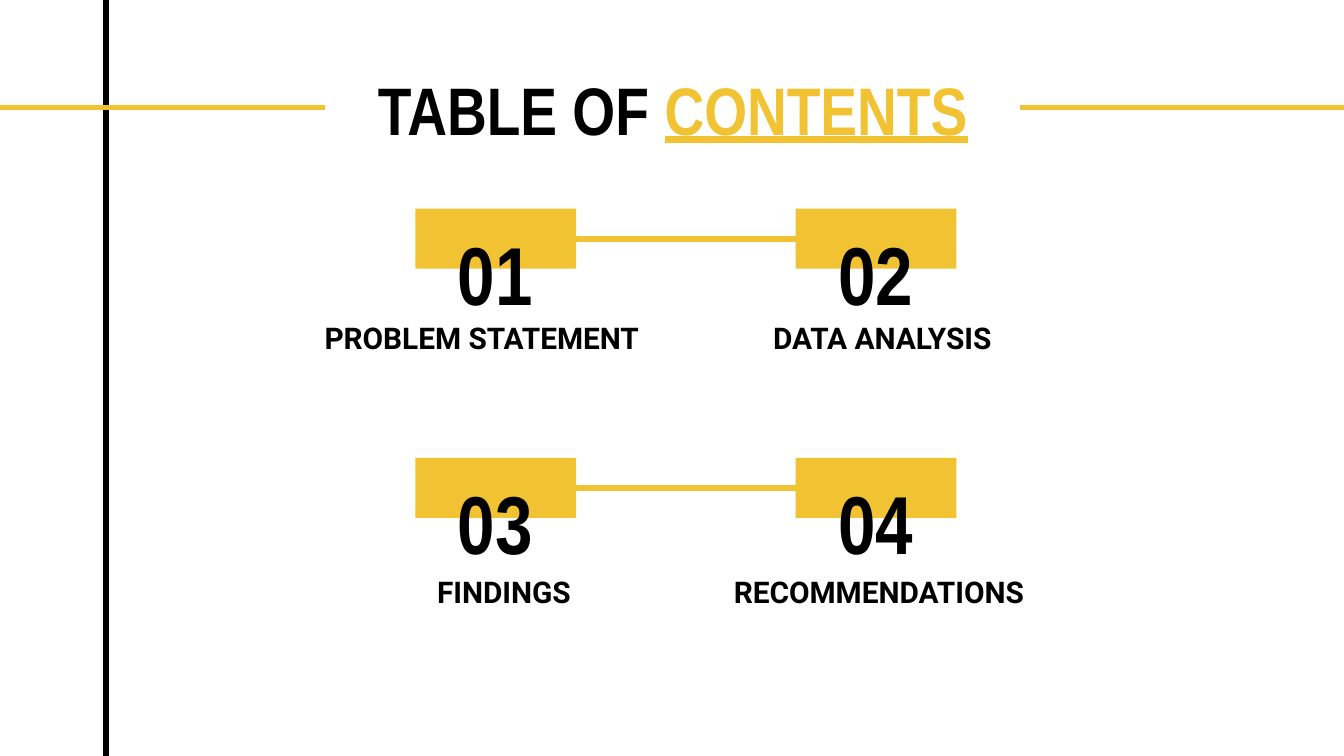
from dataclasses import dataclass

from lxml.etree import SubElement
from pptx import Presentation
from pptx.dml.color import RGBColor as RGB
from pptx.enum.shapes import MSO_CONNECTOR as Connector, MSO_SHAPE as Shape
from pptx.enum.text import MSO_ANCHOR as Anchor, PP_ALIGN as Align
from pptx.oxml.ns import qn
from pptx.util import Pt


@dataclass(frozen=True)
class Theme:
    black: RGB = RGB(0x00, 0x00, 0x00)
    white: RGB = RGB(0xFF, 0xFF, 0xFF)
    gold: RGB = RGB(0xF1, 0xC2, 0x32)
    display: str = "Arial Narrow"
    body: str = "Roboto"
    title_size: int = 36
    number_size: int = 44
    label_size: int = 16
    line_width: int = 3
    inset: float = 7.2


class SlideBuilder:
    def __init__(self, slide, theme):
        self.slide = slide
        self.theme = theme

    def line(self, start, end, color):
        connector = self.slide.shapes.add_connector(
            Connector.STRAIGHT, *map(Pt, (*start, *end)))
        connector.line.color.rgb = color
        connector.line.width = Pt(self.theme.line_width)
        SubElement(connector._element.spPr, qn("a:effectLst"))
        return connector

    def join(self, left_block, right_block):
        connector = self.line((0, 0), (0, 0), self.theme.gold)
        connector.begin_connect(left_block, 3)
        connector.end_connect(right_block, 1)

    def block(self, left, top, width, height, color):
        block = self.slide.shapes.add_shape(
            Shape.RECTANGLE, *map(Pt, (left, top, width, height)))
        block.shadow.inherit = False
        block.fill.solid()
        block.fill.fore_color.rgb = color
        block.line.fill.background()
        return block

    def format_frame(self, frame, font_name, size, anchor):
        frame.word_wrap = True
        frame.vertical_anchor = anchor
        frame.margin_left = frame.margin_right = Pt(self.theme.inset)
        frame.margin_top = frame.margin_bottom = Pt(self.theme.inset)
        paragraph = frame.paragraphs[0]
        paragraph.alignment = Align.CENTER
        paragraph.line_spacing = 1.0
        paragraph.space_before = Pt(0)
        font = paragraph.font
        font.name, font.size, font.bold = font_name, Pt(size), True
        font.color.rgb = self.theme.black
        return paragraph

    def text(self, words, left, top, width, height, font_name, size, anchor=Anchor.TOP):
        box = self.slide.shapes.add_textbox(*map(Pt, (left, top, width, height)))
        self.format_frame(box.text_frame, font_name, size, anchor).add_run().text = words

    def title(self, opening, highlight, left, top, width, height):
        title = self.slide.shapes.title
        title.left, title.top, title.width, title.height = map(
            Pt, (left, top, width, height))
        self.slide.shapes._spTree.append(title._element)
        paragraph = self.format_frame(
            title.text_frame, self.theme.display, self.theme.title_size, Anchor.TOP)
        paragraph.add_run().text = opening
        accent = paragraph.add_run()
        accent.text = highlight
        accent.font.color.rgb = self.theme.gold
        accent.font.underline = True


def main():
    theme = Theme()
    deck = Presentation()
    deck.slide_width, deck.slide_height = Pt(720), Pt(405)
    builder = SlideBuilder(deck.slides.add_slide(deck.slide_layouts[5]), theme)

    builder.line((56.9, -1.5), (56.9, 406.5), theme.black)
    builder.line((736.5, 57.6), (-3.5, 57.6), theme.gold)
    builder.block(174.2, 6.5, 372.2, 81.4, theme.white)
    builder.title("TABLE OF ", "CONTENTS", 194.4, 29.5, 332, 53.3)

    column_lefts = (222.5, 426.2)
    rows = (
        (111.8, 164.2, 205.2, (("01", "PROBLEM STATEMENT", 155.5),
                               ("02", "DATA ANALYSIS", 370.1))),
        (245.3, 300.2, 200.2, (("03", "FINDINGS", 169.9),
                               ("04", "RECOMMENDATIONS", 370.8))),
    )
    for block_top, label_top, label_width, sections in rows:
        blocks = [builder.block(left, block_top, 86.2, 32.2, theme.gold)
                  for left in column_lefts]
        builder.join(*blocks)
        for left, (number, label, label_left) in zip(column_lefts, sections):
            builder.text(number, left - 18, block_top + 17.3, 121.7, 50.4,
                         theme.display, theme.number_size, Anchor.BOTTOM)
            builder.text(label, label_left, label_top, label_width, 28.1,
                         theme.body, theme.label_size)

    deck.save("out.pptx")


if __name__ == "__main__":
    main()
